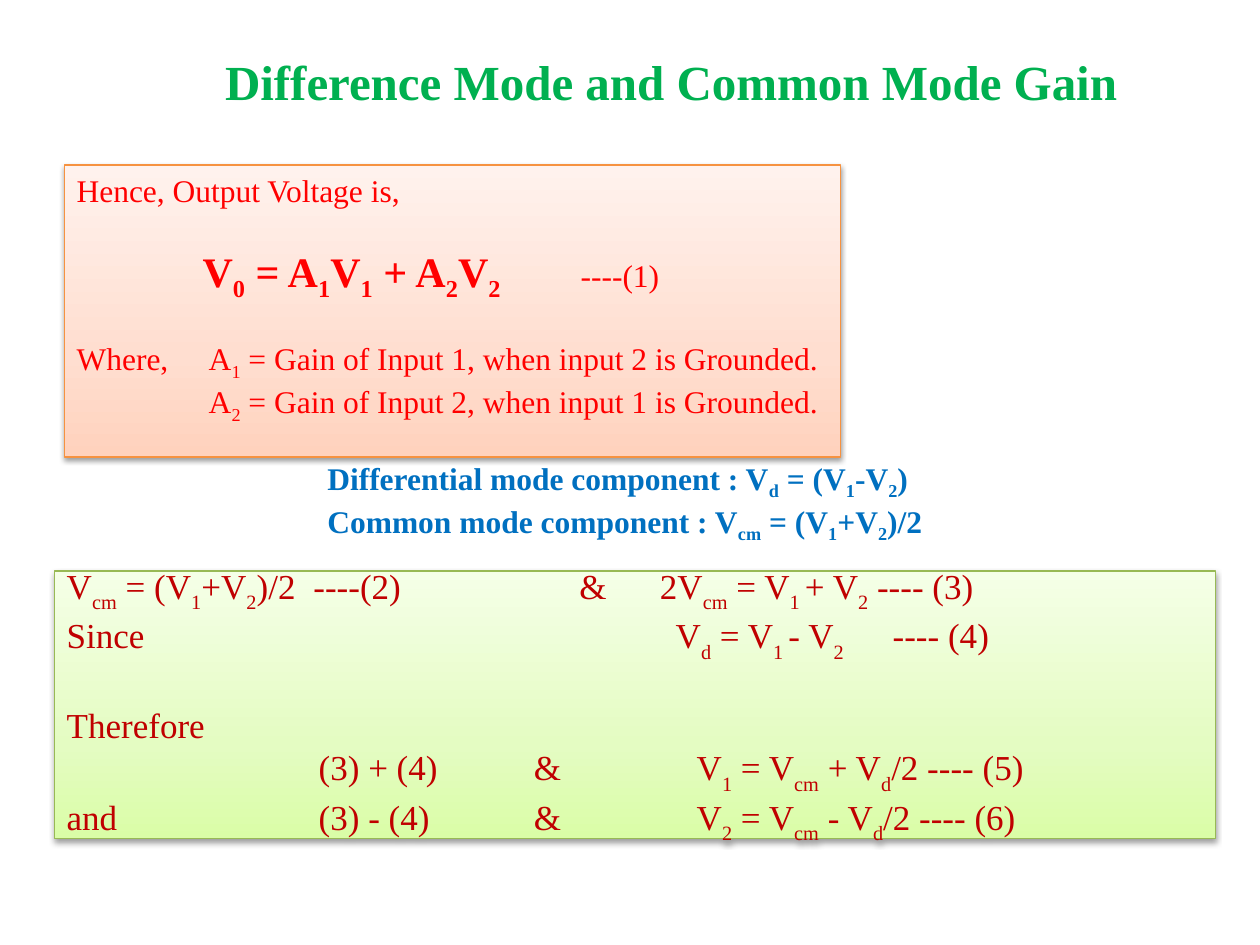
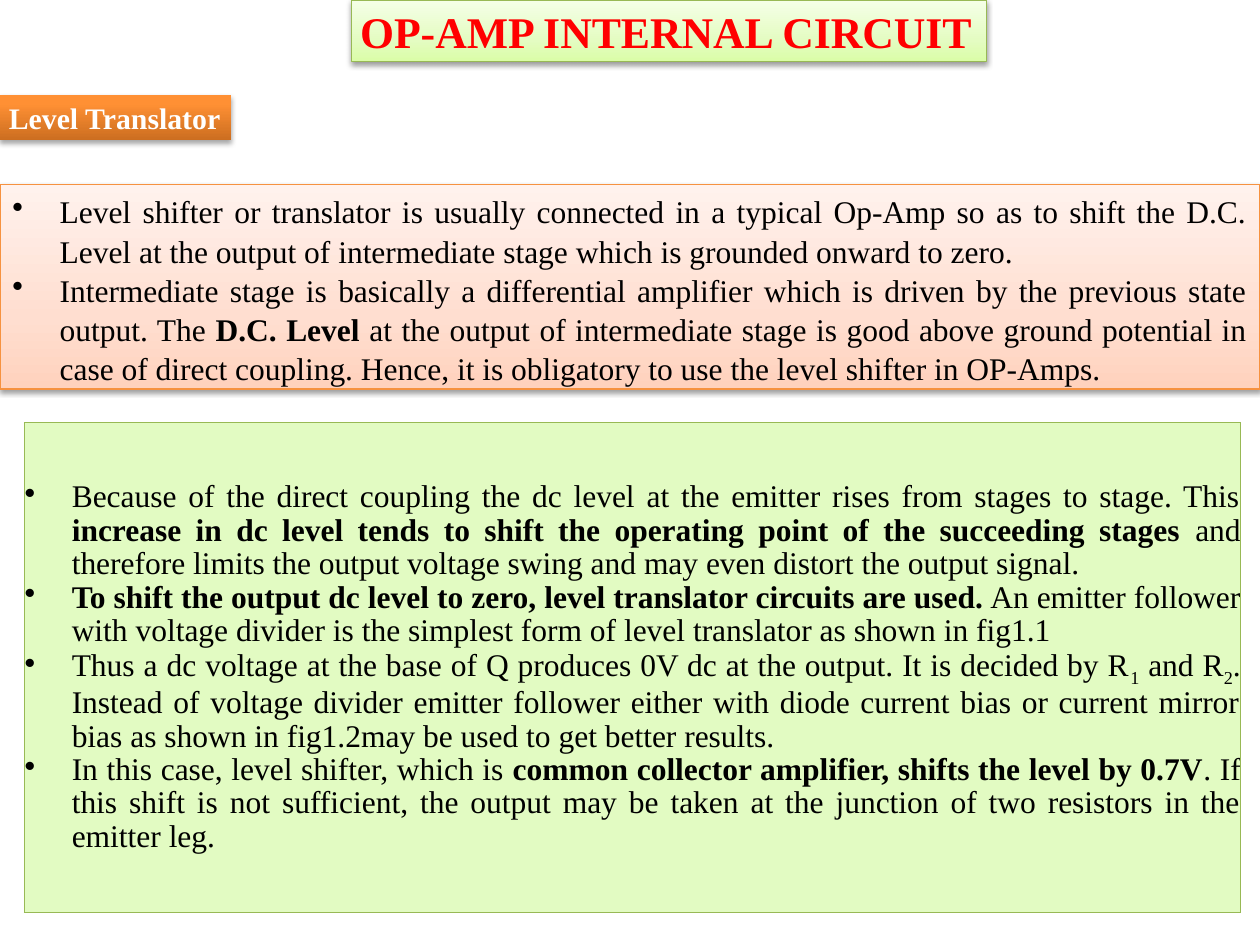
"""Build two slides on op-amp gain and the level translator."""
from copy import deepcopy
from dataclasses import dataclass

from lxml.etree import SubElement
from pptx import Presentation
from pptx.dml.color import RGBColor
from pptx.enum.shapes import MSO_SHAPE
from pptx.enum.text import MSO_ANCHOR, MSO_AUTO_SIZE, PP_ALIGN
from pptx.oxml.ns import qn
from pptx.util import Pt


@dataclass(frozen=True)
class Theme:
    font: str = "Times New Roman"
    green: str = "00B050"
    red: str = "FF0000"
    blue: str = "0070C0"
    dark: str = "C00000"
    black: str = "000000"
    white: str = "FFFFFF"
    cell: str = "E2FBC2"
    edge: str = "98B955"
    head: int = 28
    banner: int = 25
    formula: int = 24
    large: int = 20
    body: int = 18
    label: int = 17


@dataclass(frozen=True)
class Look:
    stops: tuple
    edge: str = ""
    drop: float = 1.6
    alpha: int = 38


@dataclass(frozen=True)
class Line:
    text: str
    tabs: tuple = ()
    gap: float = 0


@dataclass(frozen=True)
class Style:
    size: int
    color: str
    strong: int = 0
    sub: int = -25
    bullet: bool = False
    space: float = 1.0


THEME = Theme()
PEACH = Look(((0, "FFD2BD"), (.35, "FFDED0"), (1, "FFF2ED")), "F69240")
LIME = Look(((0, "DAFDA7"), (.35, "E4FCC2"), (1, "F5FFE7")), THEME.edge)
ORANGE = Look(((0, "CC6E20"), (.8, "FF9034"), (1, "FF9136")), drop=1.8, alpha=35)

# In the text below, *...* is strong and ~...~ is subscript.
TITLE = [Line("*Difference Mode and Common Mode Gain*")]
OUTPUT = [
    Line("Hence, Output Voltage is,"),
    Line("\t*V~0~ = A~1~V~1~ + A~2~V~2~*\t----(1)", (72, 288), 20.7),
    Line("Where,\tA~1~ = Gain of Input 1, when input 2 is Grounded.", (75.5,), 20.7),
    Line("\tA~2~ = Gain of Input 2, when input 1 is Grounded.", (75.5,)),
]
MODES = [
    Line("*Differential mode component : V~d~ = (V~1~-V~2~)*"),
    Line("*Common mode component : V~cm~ = (V~1~+V~2~)/2*"),
]
SUMS = (144, 267, 360)
PROOF = [
    Line("V~cm~ = (V~1~+V~2~)/2\t----(2)\t&\t2V~cm~ = V~1 ~+ V~2~ ---- (3)", (141, 293, 339)),
    Line("Since\tV~d~ = V~1 ~- V~2~\t---- (4)", (348, 472)),
    Line("Therefore", gap=23),
    Line("\t(3) + (4)\t&\tV~1~ = V~cm~ + V~d~/2 ---- (5)", SUMS),
    Line("and\t(3) - (4)\t&\tV~2~ = V~cm~ - V~d~/2 ---- (6)", SUMS),
]
BANNER = [Line("*OP-AMP INTERNAL CIRCUIT*")]
LABEL = [Line("*Level Translator*")]
SHIFTER = [
    Line("Level shifter or translator is usually connected in a typical Op-Amp so as to shift "
         "the D.C. Level at the output of intermediate stage which is grounded onward to zero."),
    Line("Intermediate stage is basically a differential amplifier which is driven by the "
         "previous state output. The *D.C. Level *at the output of intermediate stage is good "
         "above ground potential in case of direct coupling. Hence, it is obligatory to use "
         "the level shifter in OP-Amps."),
]
REASONS = [
    Line("Because of the direct coupling the dc level at the emitter rises from stages to stage. "
         "This *increase in dc level tends to shift the operating point of the succeeding "
         "stages* and therefore limits the output voltage swing and may even distort the "
         "output signal."),
    Line("*To shift the output dc level to zero, level translator circuits are used.* An emitter "
         "follower with voltage divider is the simplest form of level translator as shown in "
         "fig1.1"),
    Line("Thus a dc voltage at the base of Q produces 0V dc at the output. It is decided by "
         "R~1~ and R~2~. Instead of voltage divider emitter follower either with diode current "
         "bias or current mirror bias as shown in fig1.2may be used to get better results."),
    Line("In this case, level shifter, which is *common collector amplifier, shifts the level "
         "by 0.7V*. If this shift is not sufficient, the output may be taken at the junction of "
         "two resistors in the emitter leg."),
]


def split(text):
    return [(bit, i % 2, j % 2)
            for i, part in enumerate(text.split("*"))
            for j, bit in enumerate(part.split("~")) if bit]


def write(frame, lines, style):
    frame.text = "\n".join("" for _ in lines)
    for para, line in zip(frame.paragraphs, lines):
        bits = split(line.text)
        para.text = bits[0][0]
        for bit in bits[1:]:
            para.add_run().text = bit[0]
        for run, (_, bold, sub) in zip(para.runs, bits):
            font = run.font
            font.name = THEME.font
            font.size = Pt(style.strong if bold and style.strong else style.size)
            font.bold = bool(bold)
            font.color.rgb = RGBColor.from_string(style.color)
            if sub:
                run._r.get_or_add_rPr().set("baseline", str(style.sub * 1000))
        props = para._p.get_or_add_pPr()
        if style.bullet:
            props.set("marL", str(Pt(27)))
            props.set("indent", str(Pt(-27)))
            SubElement(props, qn("a:buChar"), char="•")
        if line.tabs:
            stops = SubElement(props, qn("a:tabLst"))
            for tab in line.tabs:
                SubElement(stops, qn("a:tab"), pos=str(Pt(tab)), algn="l")
        para.alignment = PP_ALIGN.JUSTIFY if style.bullet else PP_ALIGN.LEFT
        if line.gap:
            para.space_before = Pt(line.gap)
        if style.space != 1:
            para.line_spacing = style.space


def paint(shape, look):
    fill = shape.fill
    fill.gradient()
    fill.gradient_angle = 90
    stops = shape._element.spPr.find(".//" + qn("a:gsLst"))
    stops.append(deepcopy(stops[-1]))
    for stop, (place, color) in zip(fill.gradient_stops, look.stops):
        stop.position = place
        stop.color.rgb = RGBColor.from_string(color)
    if look.edge:
        shape.line.color.rgb = RGBColor.from_string(look.edge)
        shape.line.width = Pt(.75)
    else:
        shape.line.fill.background()
    shape.shadow.inherit = False
    effects = shape._element.spPr.find(qn("a:effectLst"))
    shade = SubElement(effects, qn("a:outerShdw"), blurRad=str(Pt(3.1)),
                       dist=str(Pt(look.drop)), dir="5400000", rotWithShape="0")
    color = SubElement(shade, qn("a:srgbClr"), val=THEME.black)
    SubElement(color, qn("a:alpha"), val=str(look.alpha * 1000))


def block(slide, place, lines, style, look=None, fit=False, inset=None,
          anchor=MSO_ANCHOR.TOP):
    place = [Pt(n) for n in place]
    if look:
        shape = slide.shapes.add_shape(MSO_SHAPE.RECTANGLE, *place)
        paint(shape, look)
    else:
        shape = slide.shapes.add_textbox(*place)
    frame = shape.text_frame
    frame.word_wrap = not fit
    frame.auto_size = MSO_AUTO_SIZE.SHAPE_TO_FIT_TEXT if fit else MSO_AUTO_SIZE.NONE
    frame.vertical_anchor = anchor
    if inset:
        frame.margin_left = frame.margin_right = Pt(inset[0])
        frame.margin_top = frame.margin_bottom = Pt(inset[1])
    write(frame, lines, style)


def panel(slide, place, lines, style):
    table = slide.shapes.add_table(1, 1, *[Pt(n) for n in place]).table
    table.first_row = table.horz_banding = False
    cell = table.cell(0, 0)
    cell.margin_left = cell.margin_right = cell.margin_top = cell.margin_bottom = 0
    cell.vertical_anchor = MSO_ANCHOR.MIDDLE
    props = cell._tc.get_or_add_tcPr()
    for side in "LRTB":
        edge = SubElement(props, qn("a:ln" + side), w=str(Pt(.75)))
        fill = SubElement(edge, qn("a:solidFill"))
        SubElement(fill, qn("a:srgbClr"), val=THEME.edge)
    cell.fill.solid()
    cell.fill.fore_color.rgb = RGBColor.from_string(THEME.cell)
    write(cell.text_frame, lines, style)


def gain(slide):
    block(slide, (121.5, 26, 530, 41), TITLE, Style(THEME.head, THEME.green), fit=True)
    block(slide, (36.75, 94.25, 443.5, 167), OUTPUT,
          Style(THEME.body, THEME.red, THEME.formula), PEACH)
    block(slide, (180, 258.5, 360, 51), MODES, Style(THEME.body, THEME.blue))
    block(slide, (31, 326.25, 663.5, 152.75), PROOF,
          Style(THEME.large, THEME.dark, sub=-30), LIME, anchor=MSO_ANCHOR.MIDDLE)


def level(slide):
    tight = (5.04, 2.88)
    block(slide, (200.75, 0, 363, 35.25), BANNER, Style(THEME.banner, THEME.red),
          LIME, True, tight)
    block(slide, (0, 54, 132, 26), LABEL, Style(THEME.label, THEME.white),
          ORANGE, True, tight)
    block(slide, (0, 105.5, 720, 116.75), SHIFTER,
          Style(THEME.body, THEME.black, bullet=True, space=1.04), PEACH)
    panel(slide, (14, 241.5, 695, 280), REASONS,
          Style(THEME.body, THEME.black, bullet=True, space=.96))


def main():
    deck = Presentation()
    deck.slide_width, deck.slide_height = Pt(720), Pt(540)
    for build in (gain, level):
        build(deck.slides.add_slide(deck.slide_layouts[6]))
    deck.save("out.pptx")


if __name__ == "__main__":
    main()
